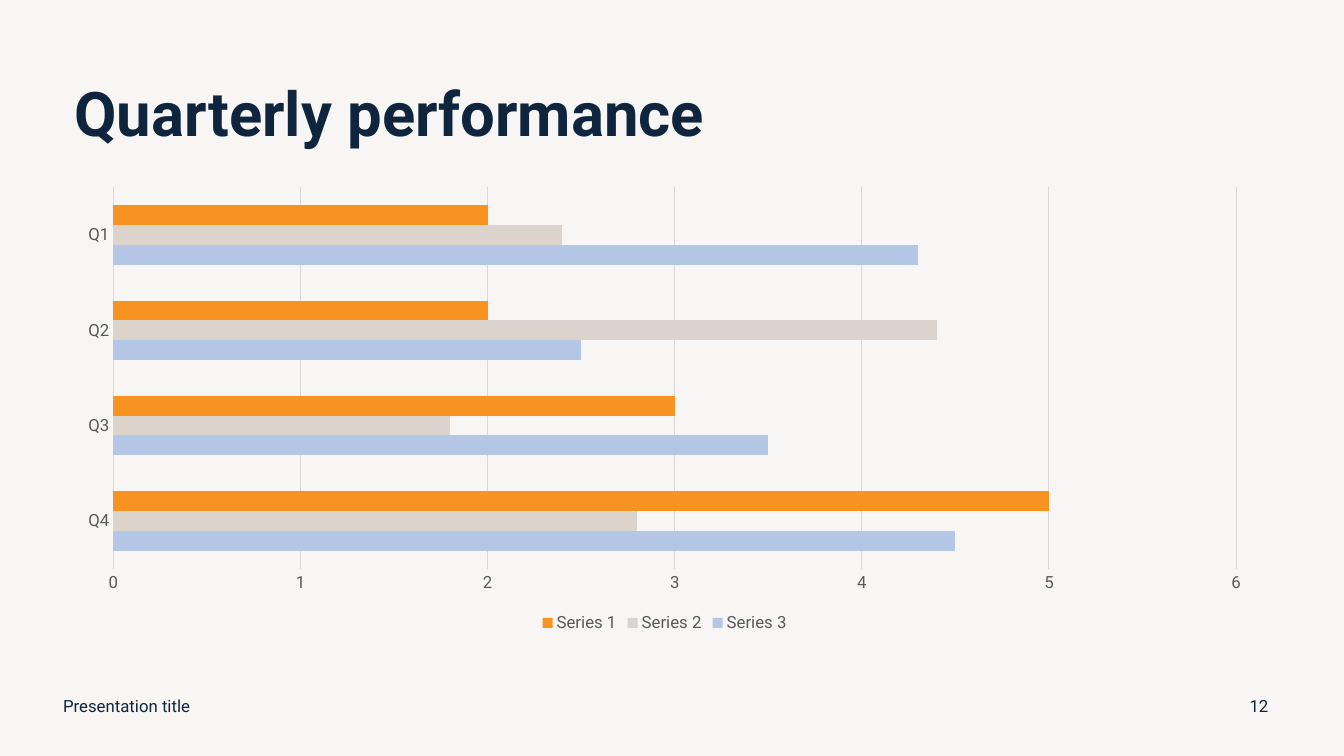
from pptx import Presentation
from pptx.chart.data import CategoryChartData
from pptx.dml.color import RGBColor
from pptx.enum.chart import XL_CHART_TYPE, XL_LEGEND_POSITION, XL_TICK_MARK
from pptx.enum.text import MSO_ANCHOR, PP_ALIGN
from pptx.util import Pt

QUARTERS = ["Q4", "Q3", "Q2", "Q1"]
SERIES = [
    ("Series 3", "B4C7E7", (4.5, 3.5, 2.5, 4.3)),
    ("Series 2", "DCD3CC", (2.8, 1.8, 4.4, 2.4)),
    ("Series 1", "F79320", (5, 3, 2, 2)),
]


def color(hex_code):
    return RGBColor.from_string(hex_code)


class SlideBuilder:
    """Holds the house style and the slide being filled."""

    font_name = "Roboto"
    ink = "0F253E"
    label_gray = "595959"
    line_gray = "D9D9D9"
    background = "F8F6F5"
    small_size = 12

    def __init__(self, deck):
        self.slide = deck.slides.add_slide(deck.slide_layouts[5])
        fill = self.slide.background.fill
        fill.solid()
        fill.fore_color.rgb = color(self.background)

    def style_font(self, font, size, hex_code, bold=False):
        font.name = self.font_name
        font.size = Pt(size)
        font.bold = bold
        font.color.rgb = color(hex_code)

    def style_line(self, line):
        line.color.rgb = color(self.line_gray)
        line.width = Pt(0.75)

    def fill_text(self, box, text, size, align=PP_ALIGN.LEFT, bold=False):
        """Put one middle-anchored run in the box and return its paragraph."""
        frame = box.text_frame
        frame.word_wrap = True
        frame.vertical_anchor = MSO_ANCHOR.MIDDLE
        para = frame.paragraphs[0]
        para.alignment = align
        span = para.add_run()
        span.text = text
        self.style_font(span.font, size, self.ink, bold)
        return para

    def title(self, text, left, top, width, height):
        box = self.slide.shapes.title
        box.left, box.top = Pt(left), Pt(top)
        box.width, box.height = Pt(width), Pt(height)
        para = self.fill_text(box, text, 44, bold=True)
        para.line_spacing = 0.9

    def label(self, text, left, top, width, height, align=PP_ALIGN.LEFT):
        box = self.slide.shapes.add_textbox(Pt(left), Pt(top), Pt(width), Pt(height))
        self.fill_text(box, text, self.small_size, align)

    def bar_chart(self, categories, series, left, top, width, height):
        data = CategoryChartData()
        data.categories = categories
        for name, _, values in series:
            data.add_series(name, values)
        chart = self.slide.shapes.add_chart(
            XL_CHART_TYPE.BAR_CLUSTERED, Pt(left), Pt(top), Pt(width), Pt(height), data
        ).chart
        self.style_font(chart.font, self.small_size, self.label_gray)
        chart.has_title = False

        chart.has_legend = True
        chart.legend.position = XL_LEGEND_POSITION.BOTTOM
        chart.legend.include_in_layout = False
        self.style_font(chart.legend.font, self.small_size, self.label_gray)

        plot = chart.plots[0]
        plot.gap_width = 182
        plot.vary_by_categories = False
        for bars, (_, hex_code, _) in zip(plot.series, series):
            bars.format.fill.solid()
            bars.format.fill.fore_color.rgb = color(hex_code)

        for axis in (chart.category_axis, chart.value_axis):
            axis.major_tick_mark = axis.minor_tick_mark = XL_TICK_MARK.NONE
            self.style_font(axis.tick_labels.font, self.small_size, self.label_gray)
        self.style_line(chart.category_axis.format.line)

        value_axis = chart.value_axis
        value_axis.minimum_scale, value_axis.maximum_scale = 0, 6
        value_axis.major_unit = 1
        value_axis.format.line.fill.background()
        value_axis.has_major_gridlines = True
        self.style_line(value_axis.major_gridlines.format.line)


def main():
    deck = Presentation()
    deck.slide_width, deck.slide_height = Pt(960), Pt(540)
    page = SlideBuilder(deck)
    page.title("Quarterly performance", 46, 39.6, 828, 87.8)
    page.bar_chart(QUARTERS, SERIES, 46, 127.4, 857.5, 327.6)
    page.label("Presentation title", 38, 489.6, 324, 28.8)
    page.label("12", 881.3, 489.6, 36, 28.8, PP_ALIGN.CENTER)
    deck.save("out.pptx")


if __name__ == "__main__":
    main()
